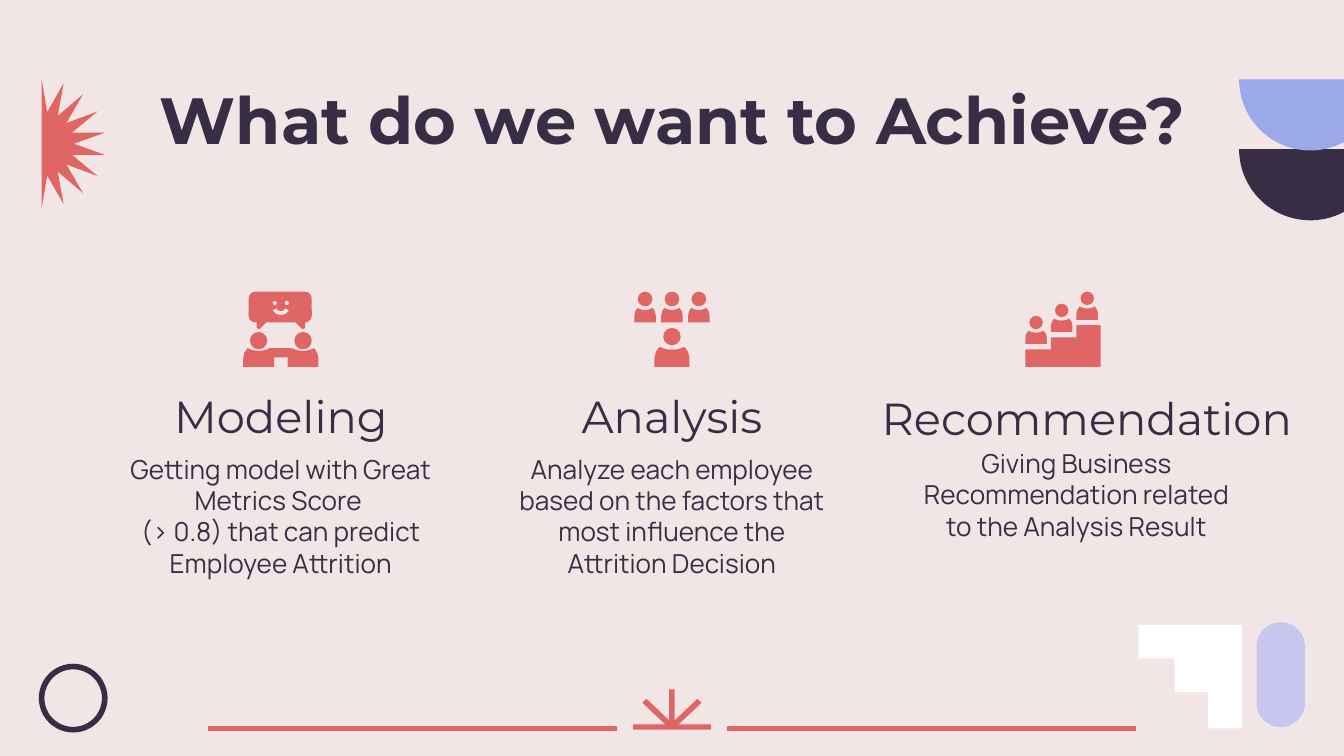
import math
import pptx
import pptx.util
import pptx.dml.color
import pptx.enum.shapes
import pptx.enum.text
import pptx.oxml

Inches = pptx.util.Inches
KIND = pptx.enum.shapes.MSO_SHAPE
ANCHOR = pptx.enum.text.MSO_ANCHOR
PAPER, INK, CORAL = "F2E5E5", "372E46", "E06666"
BLUE, LILAC, WHITE = "9BA8E9", "C7C6EE", "FFFFFF"


def tint(hue):
    """Turn a hex string into a colour."""
    return pptx.dml.color.RGBColor.from_string(hue)


def paint(shape, fill=None, line=None, width=3):
    """Set fill and line, and drop the shadow."""
    shape.shadow.inherit = False
    if fill:
        shape.fill.solid()
        shape.fill.fore_color.rgb = tint(fill)
    else:
        shape.fill.background()
    if line:
        shape.line.color.rgb = tint(line)
        shape.line.width = pptx.util.Pt(width)
    else:
        shape.line.fill.background()


def preset(slide, kind, box, fill=None, line=None, width=3):
    """Add a painted preset shape."""
    shape = slide.shapes.add_shape(kind, *map(Inches, box))
    paint(shape, fill, line, width)
    return shape


def outline(slide, x, y, points, fill):
    """Add a closed outline whose points are inches from x, y."""
    spots = [(Inches(x + a), Inches(y + b)) for a, b in points]
    maker = slide.shapes.build_freeform(*spots[0], scale=1)
    maker.add_line_segments(spots[1:])
    paint(maker.convert_to_shape(), fill)


def arc(x, y, radius, start, end, count=24):
    """Return points along an arc, with angles in degrees."""
    turns = [math.radians(start + (end - start) * i / count) for i in range(count + 1)]
    return [(x + radius * math.cos(t), y + radius * math.sin(t)) for t in turns]


def rule(slide, x, y, length):
    """Add a level coral line."""
    line = slide.shapes.add_connector(
        pptx.enum.shapes.MSO_CONNECTOR.STRAIGHT,
        Inches(x), Inches(y), Inches(x + length), Inches(y))
    line.line.color.rgb = tint(CORAL)
    line.line.width = pptx.util.Pt(3)
    line._element.spPr.append(pptx.oxml.parse_xml(
        '<a:effectLst xmlns:a="http://schemas.openxmlformats.org/drawingml/2006/main"/>'))


def write(slide, box, text, size, font, bold=False, anchor=ANCHOR.TOP):
    """Add a centred text box."""
    frame = slide.shapes.add_textbox(*map(Inches, box)).text_frame
    frame.word_wrap = True
    frame.vertical_anchor = anchor
    frame.margin_left = frame.margin_right = Inches(0.1)
    frame.margin_top = frame.margin_bottom = Inches(0.1)
    frame.text = text
    for para in frame.paragraphs:
        para.alignment = pptx.enum.text.PP_ALIGN.CENTER
        for run in para.runs:
            run.font.size = pptx.util.Pt(size)
            run.font.name = font
            run.font.bold = bold
            run.font.color.rgb = tint(INK)


def person(slide, x, y, head, width, height, drop):
    """Draw a head above its shoulders, centred on x."""
    preset(slide, KIND.OVAL, (x - head / 2, y, head, head), CORAL)
    body = [(0, 1), (0, 0.55), (0.04, 0.25)] + arc(0.5, -0.35, 0.5, 135, 45)
    body += [(0.96, 0.25), (1, 0.55), (1, 1)]
    outline(slide, x - width / 2, y + drop,
            [(a * width, b * height) for a, b in body], CORAL)


def model(slide, x, y):
    """Draw two people sharing a smiling speech bubble."""
    bubble = preset(slide, KIND.ROUNDED_RECTANGLE, (x + 0.04, y, 0.47, 0.23), CORAL)
    bubble.adjustments[0] = 0.22
    for side in (-1, 1):
        mid = x + 0.28
        tail = [(0.18, 0.22), (0.18, 0.27), (0.16, 0.28), (0.1, 0.22)]
        outline(slide, mid, y, [(side * a, b) for a, b in tail], CORAL)
        preset(slide, KIND.OVAL, (mid + side * 0.045 - 0.015, y + 0.07, 0.03, 0.03), PAPER)
        person(slide, mid + side * 0.165, y + 0.3, 0.13, 0.23, 0.14, 0.12)
    preset(slide, KIND.RECTANGLE, (x + 0.2, y + 0.42, 0.16, 0.07), CORAL)
    smile = preset(slide, KIND.ARC, (x + 0.23, y + 0.07, 0.1, 0.09), None, PAPER, 2)
    smile.adjustments[0] = 20 * 0.6
    smile.adjustments[1] = 160 * 0.6


def team(slide, x, y):
    """Draw three people above a larger one."""
    for i in range(3):
        person(slide, x + 0.08 + 0.2 * i, y, 0.11, 0.16, 0.11, 0.12)
    person(slide, x + 0.28, y + 0.27, 0.13, 0.26, 0.15, 0.14)


def climb(slide, x, y):
    """Draw three people on rising steps."""
    steps = [(0, 0.56), (0, 0.43), (0.19, 0.43), (0.19, 0.34), (0.38, 0.34),
             (0.38, 0.25), (0.56, 0.25), (0.56, 0.56)]
    outline(slide, x, y, steps, CORAL)
    for i in range(3):
        person(slide, x + 0.08 + 0.19 * i, y + 0.18 - 0.09 * i, 0.1, 0.16, 0.1, 0.11)


def decor(slide):
    """Place the ornaments around the edges."""
    star = [arc(0, 0, 0.24 if i % 2 else 0.48, 10 * i - 90, 0, 1)[0] for i in range(19)]
    outline(slide, 0.31, 1.07, star, CORAL)
    for y, hue in ((1.11, INK), (0.59, BLUE)):
        outline(slide, 9.75, y, arc(0, 0, 0.53, 0, 180, 60), hue)
    stairs = [(0, 0), (0.77, 0), (0.77, 0.77), (0.52, 0.77), (0.52, 0.5),
              (0.27, 0.5), (0.27, 0.25), (0, 0.25)]
    outline(slide, 8.47, 4.65, stairs, WHITE)
    pill = preset(slide, KIND.ROUNDED_RECTANGLE, (9.35, 4.63, 0.36, 0.78), LILAC)
    pill.adjustments[0] = 0.5
    preset(slide, KIND.OVAL, (0.31, 4.96, 0.47, 0.47), None, INK)
    for x in (1.55, 5.41):
        rule(slide, x, 5.42, 3.04)
    half = [(0.02, 0), (0.02, 0.23), (0.19, 0.07), (0.22, 0.1), (0.05, 0.26),
            (0.29, 0.26), (0.29, 0.3)]
    outline(slide, 5, 5.13, half + [(-a, b) for a, b in reversed(half)], CORAL)


def goal(slide, x, icon, head, text, top=3.27, shift=0, box=None):
    """Place an icon, a heading and a body in one column."""
    icon(slide, x + 1.02, 2.17)
    write(slide, box or (x, 2.96, 2.6, 0.43), head, 24, "Montserrat", anchor=ANCHOR.BOTTOM)
    write(slide, (x + shift, top, 2.6, 0.8), text, 14, "Manrope")


def main():
    """Build and save the slide."""
    deck = pptx.Presentation()
    deck.slide_width = Inches(10)
    deck.slide_height = deck.slide_width * 9 // 16
    slide = deck.slides.add_slide(deck.slide_layouts[6])
    slide.background.fill.solid()
    slide.background.fill.fore_color.rgb = tint(PAPER)
    decor(slide)
    write(slide, (0.79, 0.49, 8.43, 0.63), "What do we want to Achieve?", 35, "Montserrat", True)
    goal(slide, 0.79, model, "Modeling",
         "Getting model with Great Metrics Score \n(> 0.8) that can predict Employee Attrition")
    goal(slide, 3.7, team, "Analysis",
         "Analyze each employee based on the factors that most influence the Attrition Decision")
    goal(slide, 6.61, climb, "Recommendation",
         "Giving Business Recommendation related to the Analysis Result",
         3.23, 0.1, (6.39, 2.98, 3.39, 0.43))
    deck.save("out.pptx")


if __name__ == "__main__":
    main()
